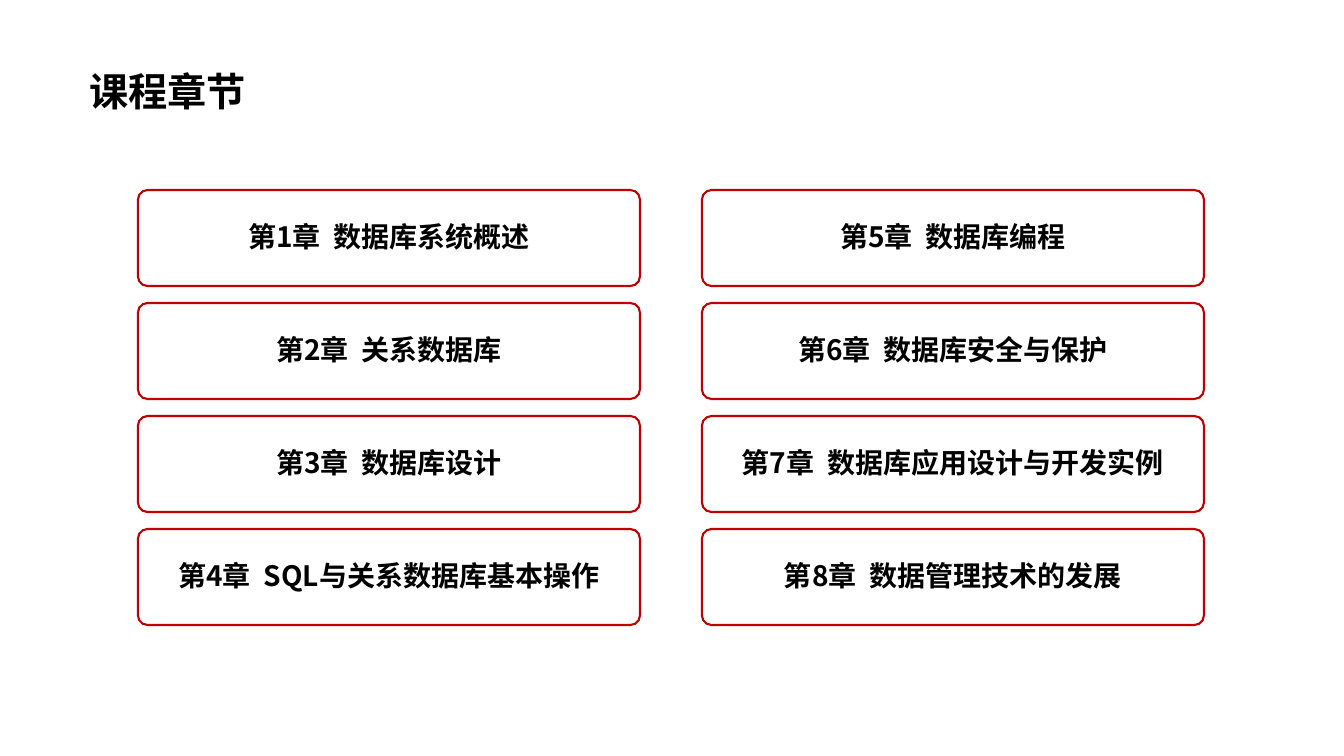
from dataclasses import dataclass

from lxml.etree import SubElement
from pptx import Presentation
from pptx.dml.color import RGBColor
from pptx.enum.shapes import MSO_SHAPE
from pptx.enum.text import MSO_ANCHOR, PP_ALIGN
from pptx.oxml.ns import qn
from pptx.shapes.autoshape import Shape
from pptx.slide import Slide
from pptx.util import Emu, Pt

FONT = "Noto Sans CJK SC"
BLACK = RGBColor(0x00, 0x00, 0x00)
RED = RGBColor(0xC0, 0x00, 0x00)

EMU_PER_PX = 914400 / 100.8
SLIDE_WIDTH, SLIDE_HEIGHT = 1344, 756

GRID_LEFT, GRID_TOP = 138, 190
COLUMN_PITCH, ROW_PITCH = 564, 113
CARD_WIDTH, CARD_HEIGHT = 502, 96
CARD_PADDING = 3
ROWS = 4

CHAPTERS = (
    "第1章  数据库系统概述",
    "第2章  关系数据库",
    "第3章  数据库设计",
    "第4章  SQL与关系数据库基本操作",
    "第5章  数据库编程",
    "第6章  数据库安全与保护",
    "第7章  数据库应用设计与开发实例",
    "第8章  数据管理技术的发展",
)


@dataclass(frozen=True)
class Box:
    """Place of a box on the slide, in pixels."""

    left: int
    top: int
    width: int
    height: int


def px(length: int) -> Emu:
    """Turn pixels into EMU."""
    return Emu(round(length * EMU_PER_PX))


def add_rounded_box(slide: Slide, box: Box) -> Shape:
    """Add a rounded rectangle without fill, line or shadow."""
    shape = slide.shapes.add_shape(
        MSO_SHAPE.ROUNDED_RECTANGLE,
        px(box.left), px(box.top), px(box.width), px(box.height),
    )
    shape.shadow.inherit = False
    shape.fill.background()
    shape.line.fill.background()
    return shape


def write_text(shape: Shape, text: str, *, size: int, align: PP_ALIGN,
               line_spacing: float = 1.0) -> None:
    """Write one bold paragraph, vertically centred in the shape."""
    frame = shape.text_frame
    frame.word_wrap = True
    frame.vertical_anchor = MSO_ANCHOR.MIDDLE
    paragraph = frame.paragraphs[0]
    paragraph.alignment = align
    paragraph.line_spacing = line_spacing
    run = paragraph.add_run()
    run.text = text
    run.font.size = Pt(size)
    run.font.bold = True
    run.font.color.rgb = BLACK
    run.font.name = FONT
    SubElement(run.font._element, qn("a:ea"), typeface=FONT)


def add_chapter(slide: Slide, box: Box, chapter: str) -> None:
    """Add one red-outlined chapter card."""
    card = add_rounded_box(slide, box)
    card.adjustments[0] = 0.1
    card.line.color.rgb = RED
    card.line.width = Pt(1.5)
    frame = card.text_frame
    frame.margin_left = frame.margin_right = px(CARD_PADDING)
    frame.margin_top = frame.margin_bottom = px(CARD_PADDING)
    write_text(card, chapter, size=20, align=PP_ALIGN.CENTER, line_spacing=0.9)


def main() -> None:
    """Build the course chapter slide."""
    deck = Presentation()
    deck.slide_width, deck.slide_height = px(SLIDE_WIDTH), px(SLIDE_HEIGHT)
    slide = deck.slides.add_slide(deck.slide_layouts[6])

    heading = add_rounded_box(slide, Box(75, 48, 245, 86))
    write_text(heading, "课程章节", size=28, align=PP_ALIGN.JUSTIFY)

    for index, chapter in enumerate(CHAPTERS):
        column, row = divmod(index, ROWS)
        place = Box(GRID_LEFT + column * COLUMN_PITCH, GRID_TOP + row * ROW_PITCH,
                    CARD_WIDTH, CARD_HEIGHT)
        add_chapter(slide, place, chapter)

    deck.save("out.pptx")


main()
